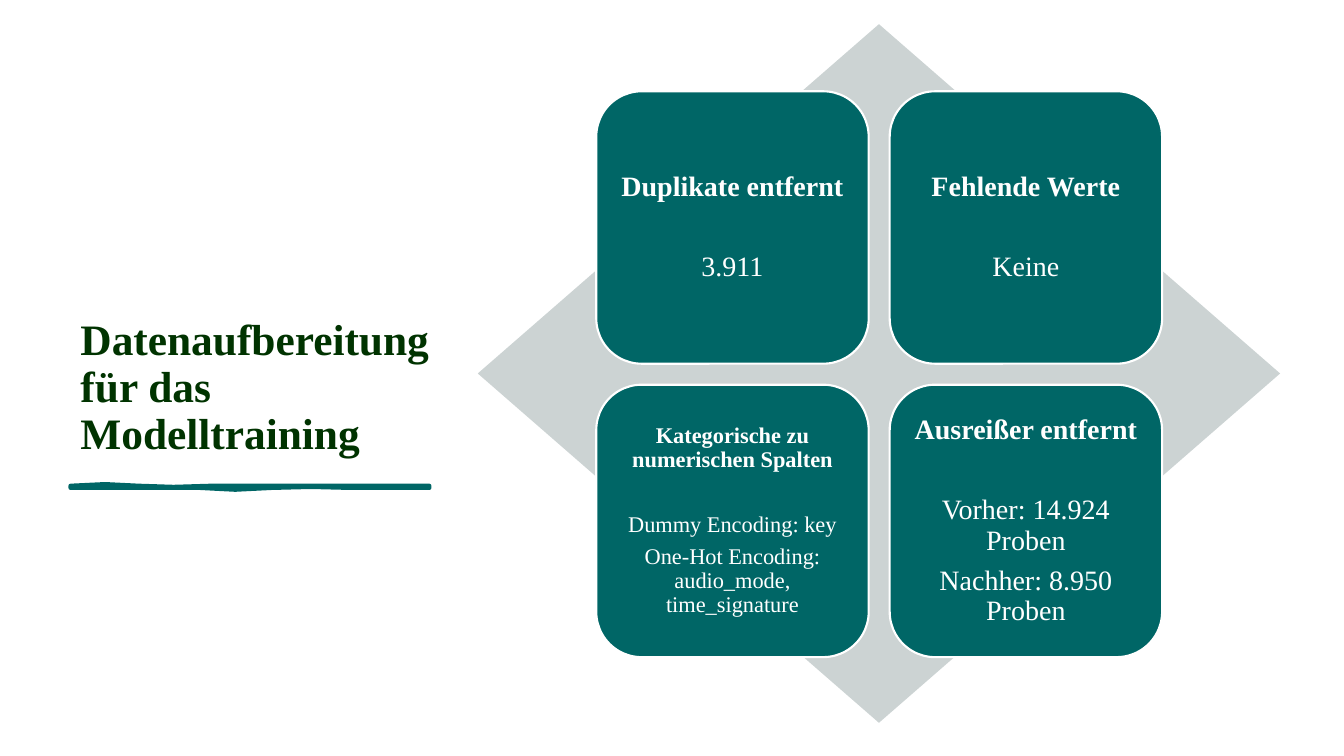
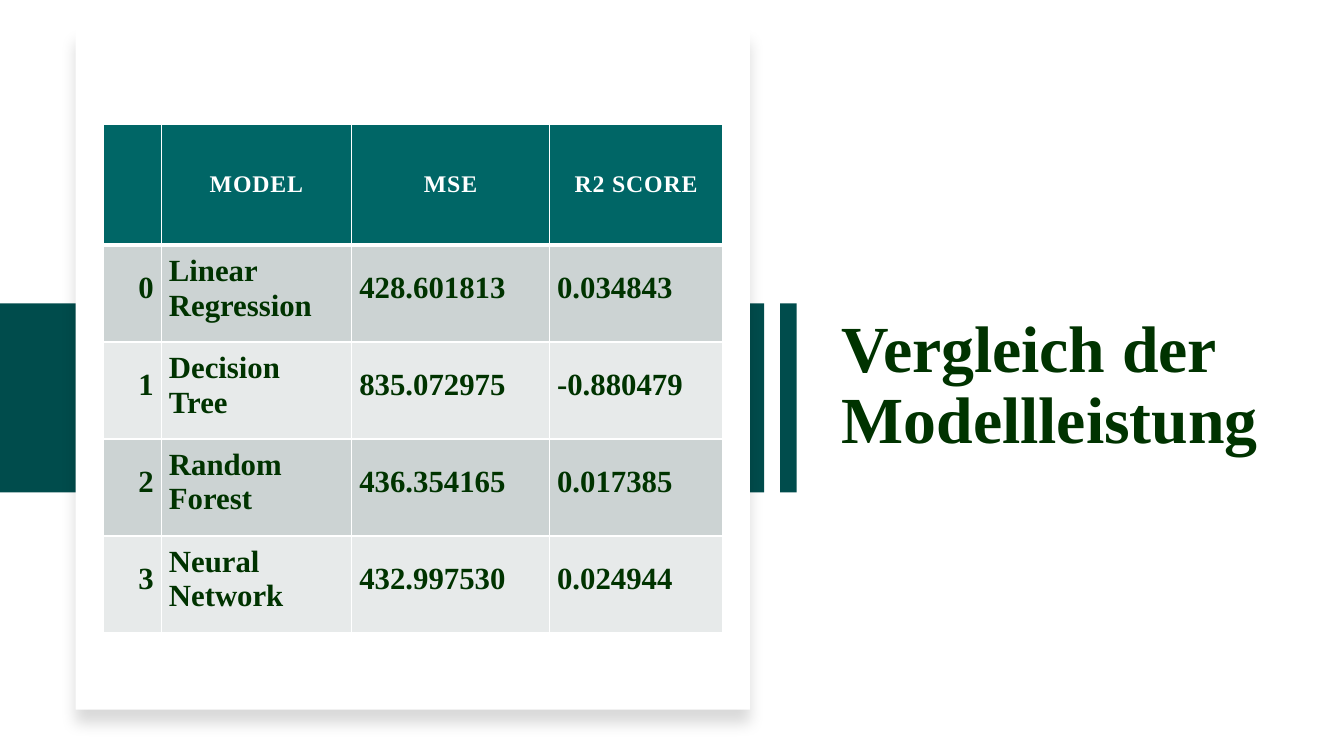
"""Build two slides on data preparation and model comparison."""
from lxml import etree
from pptx import Presentation
from pptx.dml.color import RGBColor
from pptx.enum.shapes import MSO_SHAPE
from pptx.enum.text import MSO_ANCHOR, PP_ALIGN
from pptx.oxml.ns import qn
from pptx.util import Pt

WHITE = RGBColor(0xFF, 0xFF, 0xFF)
BLACK = RGBColor(0x00, 0x00, 0x00)
INK = RGBColor(0x00, 0x33, 0x00)
TEAL = RGBColor(0x00, 0x66, 0x66)
DEEP_TEAL = RGBColor(0x00, 0x4C, 0x4C)
GREY = RGBColor(0xCC, 0xD3, 0xD3)
PALE = RGBColor(0xE7, 0xEA, 0xEA)
FONT = "Times New Roman"


class Deck:
    def __init__(self):
        self.prs = Presentation()
        self.prs.slide_width, self.prs.slide_height = Pt(960), Pt(540)
        self.shapes = None

    def new_slide(self):
        self.shapes = self.prs.slides.add_slide(self.prs.slide_layouts[6]).shapes

    def run(self, p, text, size, color, bold=True):
        r = p.add_run()
        r.text = text
        r.font.name, r.font.size, r.font.bold = FONT, Pt(size), bold
        r.font.color.rgb = color
        return r

    def paint(self, sp, fill, line=None, width=1.5):
        sp.shadow.inherit = False
        sp.fill.solid()
        sp.fill.fore_color.rgb = fill
        if line is None:
            sp.line.fill.background()
        else:
            sp.line.color.rgb, sp.line.width = line, Pt(width)
        return sp

    def shape(self, kind, x, y, w, h, fill, line=None):
        sp = self.shapes.add_shape(kind, Pt(x), Pt(y), Pt(w), Pt(h))
        return self.paint(sp, fill, line)

    def title(self, text, x, y, w, h, size):
        tf = self.shapes.add_textbox(Pt(x), Pt(y), Pt(w), Pt(h)).text_frame
        tf.word_wrap, tf.vertical_anchor = True, MSO_ANCHOR.BOTTOM
        p = tf.paragraphs[0]
        p.line_spacing = 0.9
        self.run(p, text, size, INK)

    def brush_line(self, points):
        (x, y), *rest = [(Pt(px), Pt(py)) for px, py in points]
        builder = self.shapes.build_freeform(x, y)
        builder.add_line_segments(rest, close=True)
        self.paint(builder.convert_to_shape(), TEAL, TEAL, 3)

    def tile(self, x, y, side, size, heading, details):
        sp = self.shape(MSO_SHAPE.ROUNDED_RECTANGLE, x, y, side, side, TEAL, WHITE)
        tf = sp.text_frame
        tf.word_wrap, tf.vertical_anchor = True, MSO_ANCHOR.MIDDLE
        tf.margin_left = tf.margin_right = tf.margin_top = tf.margin_bottom = Pt(0.3 * size)
        for i, text in enumerate([heading, *details]):
            p = tf.add_paragraph() if i else tf.paragraphs[0]
            p.alignment, p.line_spacing = PP_ALIGN.CENTER, 0.9
            p.space_before = Pt((0, 1.8, 0.36)[min(i, 2)] * size)
            self.run(p, text, size, WHITE, bold=i == 0)

    def card(self, x, y, w, h):
        sp = self.shape(MSO_SHAPE.RECTANGLE, x, y, w, h, WHITE)
        effects = sp._element.spPr.find(qn("a:effectLst"))
        shadow = etree.SubElement(effects, qn("a:outerShdw"), blurRad=str(Pt(11)),
                                  dist=str(Pt(10)), dir="5400000", algn="t", rotWithShape="0")
        color = etree.SubElement(shadow, qn("a:srgbClr"), val=str(BLACK))
        etree.SubElement(color, qn("a:alpha"), val="15000")

    def borders(self, cell, top, bottom):
        tc_pr = cell._tc.get_or_add_tcPr()
        sides = (("a:lnL", 1), ("a:lnR", 1), ("a:lnT", top), ("a:lnB", bottom))
        for i, (tag, width) in enumerate(sides):
            ln = etree.Element(qn(tag), w=str(Pt(width)))
            fill = etree.SubElement(ln, qn("a:solidFill"))
            etree.SubElement(fill, qn("a:srgbClr"), val=str(WHITE))
            tc_pr.insert(i, ln)

    def cell(self, cell, text, row, col):
        head = row == 0
        cell.fill.solid()
        cell.fill.fore_color.rgb = TEAL if head else GREY if row % 2 else PALE
        self.borders(cell, 3 if row == 1 else 1, 3 if head else 1)
        cell.vertical_anchor = MSO_ANCHOR.MIDDLE
        margins = (15, 15, 15, 15) if head else (5.5, 3, 5.5, 10)
        (cell.margin_left, cell.margin_top,
         cell.margin_right, cell.margin_bottom) = map(Pt, margins)
        if text:
            p = cell.text_frame.paragraphs[0]
            p.alignment = PP_ALIGN.CENTER if head else PP_ALIGN.LEFT if col else PP_ALIGN.RIGHT
            r = self.run(p, text, 17 if head else 22, WHITE if head else INK)
            if head:
                r.font._element.set("spc", "60")

    def table(self, x, y, widths, heights, rows):
        frame = self.shapes.add_table(len(rows), len(widths), Pt(x), Pt(y),
                                      Pt(sum(widths)), Pt(sum(heights)))
        table = frame.table
        for column, width in zip(table.columns, widths):
            column.width = Pt(width)
        for i, (height, values) in enumerate(zip(heights, rows)):
            table.rows[i].height = Pt(height)
            for j, text in enumerate(values):
                self.cell(table.cell(i, j), text, i, j)


def preparation_slide(deck):
    deck.new_slide()
    deck.title("Datenaufbereitung für das Modelltraining", 50.4, 210.2, 281.5, 121, 31)
    deck.brush_line([(50.4, 347), (75, 345.8), (99.4, 347), (124, 347.8), (150.5, 347),
                     (306.7, 347), (306.7, 348.5), (250.6, 348.5), (222, 347.8),
                     (194, 348.5), (168, 349.8), (143, 348.5), (50.4, 348.5)])
    deck.shape(MSO_SHAPE.DIAMOND, 341.3, 17.3, 573.1, 499, GREY)
    tiles = [
        (20, "Duplikate entfernt", ["3.911"]),
        (20, "Fehlende Werte", ["Keine"]),
        (16, "Kategorische zu numerischen Spalten",
         ["Dummy Encoding: key", "One-Hot Encoding: audio_mode, time_signature"]),
        (20, "Ausreißer entfernt", ["Vorher: 14.924 Proben", "Nachher: 8.950 Proben"]),
    ]
    side, pitch = 194.6, 209.6
    for i, (size, heading, details) in enumerate(tiles):
        row, col = divmod(i, 2)
        deck.tile(425.9 + col * pitch, 65.2 + row * pitch, side, size, heading, details)


def comparison_slide(deck):
    deck.new_slide()
    deck.title("Vergleich der Modellleistung", 594, 216.7, 349.2, 113.8, 47)
    for x, width in ((0, 545.8), (557.3, 11.8)):
        deck.shape(MSO_SHAPE.RECTANGLE, x, 216.7, width, 135, DEEP_TEAL)
    deck.card(54, 20.9, 481.7, 486)
    deck.table(74.2, 88.6, [41, 136, 141.3, 123.8], [86.4] + [69.3] * 4, [
        ("", "MODEL", "MSE", "R2 SCORE"),
        ("0", "Linear Regression", "428.601813", "0.034843"),
        ("1", "Decision Tree", "835.072975", "-0.880479"),
        ("2", "Random Forest", "436.354165", "0.017385"),
        ("3", "Neural Network", "432.997530", "0.024944"),
    ])


def main():
    deck = Deck()
    preparation_slide(deck)
    comparison_slide(deck)
    deck.prs.save("out.pptx")


if __name__ == "__main__":
    main()
